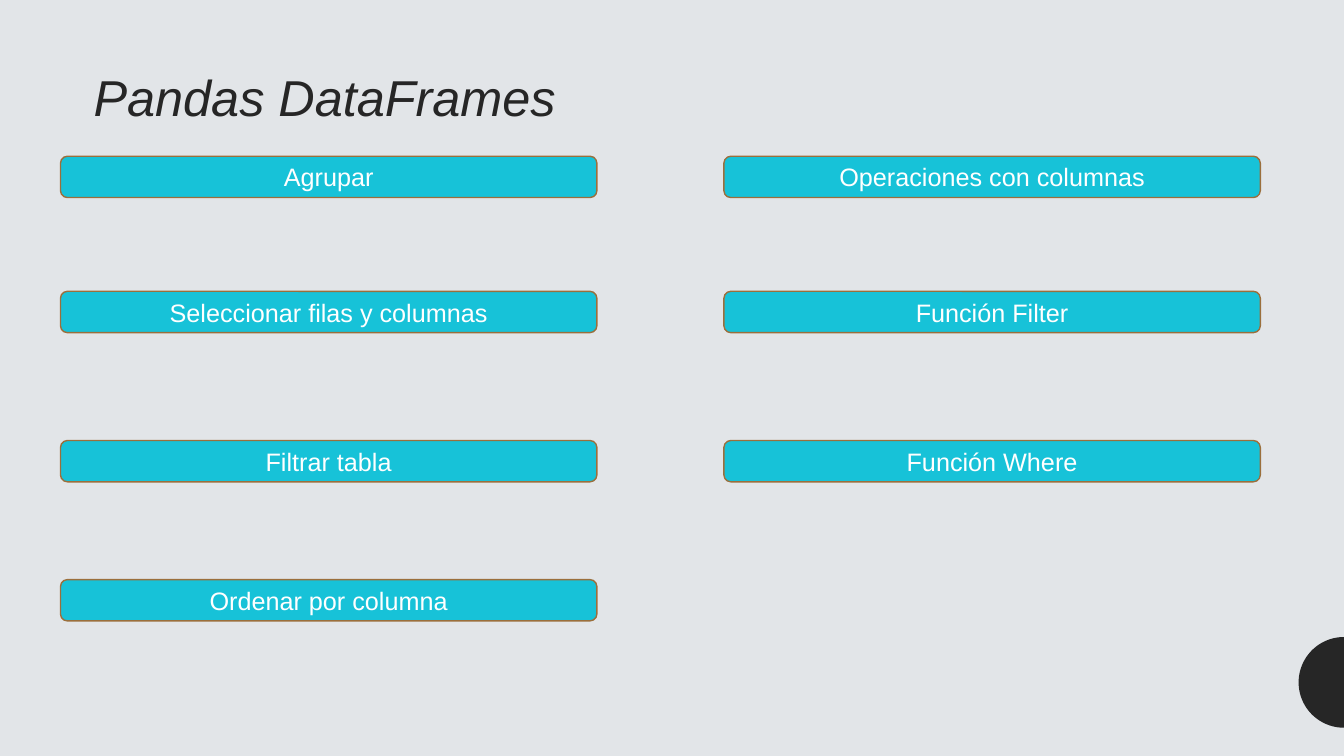
import math
from dataclasses import dataclass

import pptx
import pptx.dml.color
import pptx.enum.shapes
import pptx.enum.text
import pptx.slide
import pptx.text.text
import pptx.util

EMU_PER_PX = 9144  # 100 px to the inch


@dataclass(frozen=True)
class Theme:
    background: str = "E2E5E8"
    dark: str = "262626"
    button_fill: str = "17C2D8"
    button_line: str = "9B6F3C"
    button_text: str = "FFFFFF"
    font: str = "Arial"
    title_size: int = 36
    button_size: int = 18


@dataclass(frozen=True)
class Button:
    text: str
    left: int
    top: int


THEME = Theme()
SLIDE_WIDTH, SLIDE_HEIGHT = 1333, 750
BUTTON_WIDTH, BUTTON_HEIGHT = 532, 41
ROW_TOPS = (155, 289, 437, 575)
COLUMNS = {
    60: ("Agrupar", "Seleccionar filas y columnas", "Filtrar tabla", "Ordenar por columna"),
    718: ("Operaciones con columnas", "Función Filter", "Función Where"),
}
BUTTONS = [
    Button(text, left, top)
    for left, texts in COLUMNS.items()
    for text, top in zip(texts, ROW_TOPS)
]


def px(length: float) -> pptx.util.Emu:
    return pptx.util.Emu(round(length * EMU_PER_PX))


def rgb(code: str) -> pptx.dml.color.RGBColor:
    return pptx.dml.color.RGBColor.from_string(code)


def write_text(
    frame: pptx.text.text.TextFrame, text: str, size: int, color: str
) -> pptx.text.text._Paragraph:
    frame.word_wrap = True
    frame.vertical_anchor = pptx.enum.text.MSO_ANCHOR.MIDDLE
    paragraph = frame.paragraphs[0]
    paragraph.text = text
    paragraph.font.name = THEME.font
    paragraph.font.size = pptx.util.Pt(size)
    paragraph.font.color.rgb = rgb(color)
    return paragraph


def add_half_disc(slide: pptx.slide.Slide, center_y: int, radius: int) -> None:
    """Draw the left half of a disc against the right edge of the slide."""
    steps = 48
    angles = [math.pi * (0.5 + step / steps) for step in range(steps + 1)]
    points = [
        (px(SLIDE_WIDTH + radius * math.cos(angle)), px(center_y + radius * math.sin(angle)))
        for angle in angles
    ]
    builder = slide.shapes.build_freeform(*points[0], scale=1.0)
    builder.add_line_segments(points[1:], close=True)
    shape = builder.convert_to_shape()
    shape.shadow.inherit = False
    shape.fill.solid()
    shape.fill.fore_color.rgb = rgb(THEME.dark)
    shape.line.fill.background()


def add_title(slide: pptx.slide.Slide, text: str) -> None:
    box = slide.shapes.add_textbox(px(83), px(48), px(1167), px(90))
    paragraph = write_text(box.text_frame, text, THEME.title_size, THEME.dark)
    paragraph.font.italic = True
    paragraph.line_spacing = 1.1


def add_button(slide: pptx.slide.Slide, button: Button) -> None:
    shape = slide.shapes.add_shape(
        pptx.enum.shapes.MSO_SHAPE.ROUNDED_RECTANGLE,
        px(button.left), px(button.top), px(BUTTON_WIDTH), px(BUTTON_HEIGHT),
    )
    shape.shadow.inherit = False
    shape.fill.solid()
    shape.fill.fore_color.rgb = rgb(THEME.button_fill)
    shape.line.color.rgb = rgb(THEME.button_line)
    shape.line.width = pptx.util.Pt(1)
    paragraph = write_text(shape.text_frame, button.text, THEME.button_size, THEME.button_text)
    paragraph.alignment = pptx.enum.text.PP_ALIGN.CENTER


def main() -> None:
    presentation = pptx.Presentation()
    presentation.slide_width = px(SLIDE_WIDTH)
    presentation.slide_height = px(SLIDE_HEIGHT)
    slide = presentation.slides.add_slide(presentation.slide_layouts[6])

    # Background and edge ornament
    slide.background.fill.solid()
    slide.background.fill.fore_color.rgb = rgb(THEME.background)
    add_half_disc(slide, center_y=677, radius=45)

    # Title and topic buttons
    add_title(slide, "Pandas DataFrames")
    for button in BUTTONS:
        add_button(slide, button)

    presentation.save("out.pptx")


if __name__ == "__main__":
    main()
